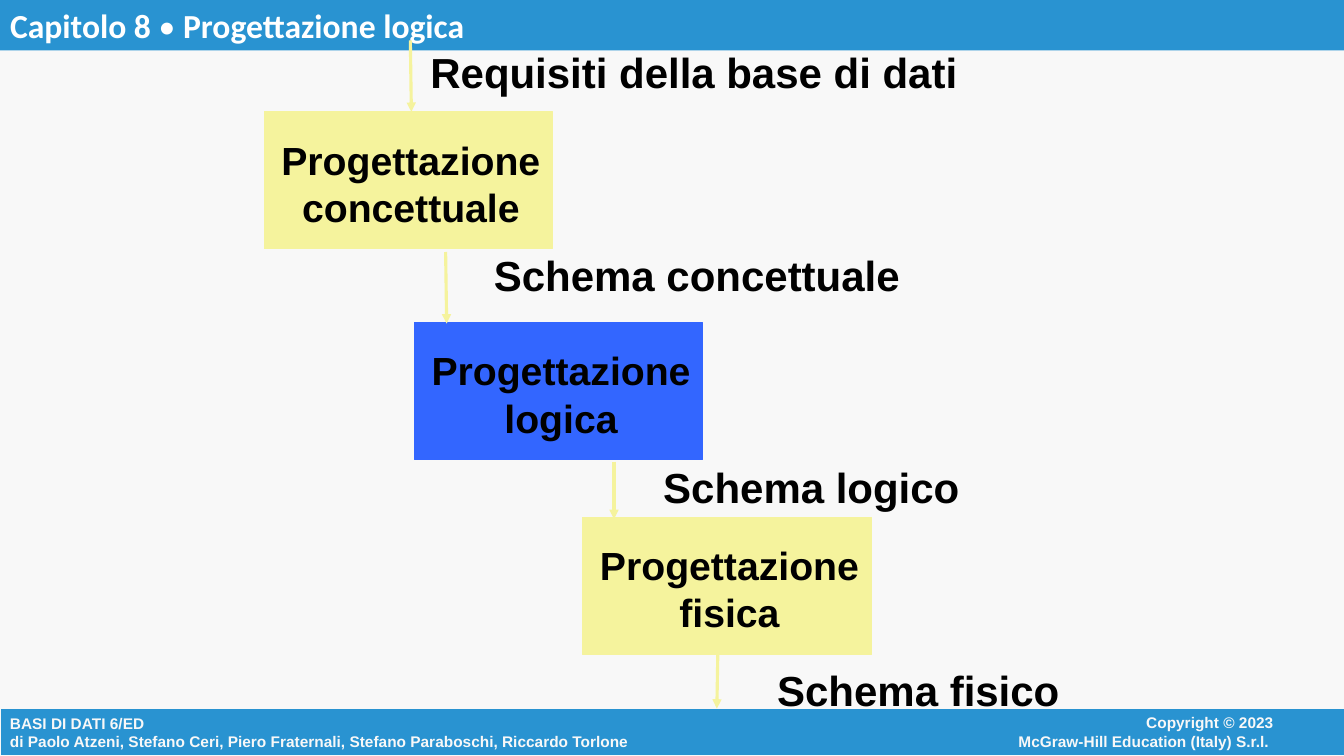
from lxml import etree
from pptx import Presentation
from pptx import util as u
from pptx.dml import color
from pptx.enum import shapes, text
from pptx.oxml import ns

YELLOW, BLUE, BAR, PALE, BLACK = "F5F39D", "3366FF", "2993D1", "F8F8F8", "000000"


def rgb(value):
    return color.RGBColor.from_string(value)


def place(shape, left, top, width, height):
    shape.left, shape.top = u.Inches(left), u.Inches(top)
    shape.width, shape.height = u.Inches(width), u.Inches(height)


def write(shape, words, size, colour, align, font="Arial", inset=(0.1, 0.05),
          anchor=text.MSO_ANCHOR.TOP, wrap=True):
    frame = shape.text_frame
    frame.text = words
    frame.word_wrap = wrap
    frame.auto_size = text.MSO_AUTO_SIZE.NONE
    frame.vertical_anchor = anchor
    frame.margin_left = frame.margin_right = u.Inches(inset[0])
    frame.margin_top = frame.margin_bottom = u.Inches(inset[1])
    for paragraph in frame.paragraphs:
        paragraph.alignment = align
        for run in paragraph.runs:
            run.font.name, run.font.size, run.font.bold = font, u.Pt(size), True
            run.font.color.rgb = rgb(colour)


def add_box(slide, left, top, width, height, fill, line):
    shape = slide.shapes.add_shape(shapes.MSO_SHAPE.RECTANGLE, 0, 0, 0, 0)
    place(shape, left, top, width, height)
    shape.shadow.inherit = False
    shape.fill.solid()
    shape.fill.fore_color.rgb = rgb(fill)
    shape.line.color.rgb = rgb(line)
    shape.line.width = u.Pt(0.75)
    return shape


def add_text(slide, left, top, width, height, words, size, colour, align, **options):
    shape = slide.shapes.add_textbox(0, 0, 0, 0)
    place(shape, left, top, width, height)
    write(shape, words, size, colour, align, **options)


def add_header(slide, width, height):
    title = slide.shapes.title
    place(title, 0, 0, width, height)
    title.fill.solid()
    title.fill.fore_color.rgb = rgb(BAR)
    write(title, "Capitolo 8 ", 24, "FFFFFF", text.PP_ALIGN.LEFT, font="Calibri")
    paragraph = title.text_frame.paragraphs[0]
    for words, bold in (("•", False), (" Progettazione logica", True)):
        run = paragraph.add_run()
        run.text = words
        run.font.name, run.font.size, run.font.bold = "Calibri", u.Pt(24), bold
        run.font.color.rgb = rgb("FFFFFF")


def add_footer(slide, top, width, height):
    bar = add_box(slide, 0, top, width, height, BAR, PALE)
    write(bar, "BASI DI DATI 6/ED\vdi Paolo Atzeni, Stefano Ceri, Piero Fraternali, "
          "Stefano Paraboschi, Riccardo Torlone", 11, PALE, text.PP_ALIGN.LEFT,
          anchor=text.MSO_ANCHOR.MIDDLE)
    add_text(slide, width - 4.46, top, 3.84, height,
             "Copyright © 2023\nMcGraw-Hill Education (Italy) S.r.l. ",
             11, PALE, text.PP_ALIGN.RIGHT)


def add_phase(slide, left, top, name, fill):
    add_box(slide, left, top, 2.86, 1.36, fill, fill)
    add_text(slide, left + 0.17, top + 0.24, 2.57, 0.93, f"Progettazione\n{name}",
             28, BLACK, text.PP_ALIGN.CENTER, inset=(0, 0), wrap=False)


def add_flow(slide, start, end, label, left, top, width):
    arrow = slide.shapes.add_connector(
        shapes.MSO_CONNECTOR.STRAIGHT, *(u.Inches(value) for value in start + end))
    arrow.line.color.rgb = rgb(YELLOW)
    arrow.line.width = u.Pt(2.25)
    etree.SubElement(arrow.line._get_or_add_ln(), ns.qn("a:tailEnd"), type="triangle")
    etree.SubElement(arrow._element.spPr, ns.qn("a:effectLst"))
    add_text(slide, left, top, width, 0.6, label, 30, BLACK, text.PP_ALIGN.LEFT, wrap=False)


def main():
    presentation = Presentation()
    presentation.slide_width, presentation.slide_height = u.Inches(13.33), u.Inches(7.5)
    slide = presentation.slides.add_slide(presentation.slide_layouts[5])
    slide.background.fill.solid()
    slide.background.fill.fore_color.rgb = rgb(PALE)

    add_header(slide, 13.35, 0.5)
    add_footer(slide, 7.03, 13.35, 0.47)
    for phase in (
        (2.62, 1.11, "concettuale", YELLOW),
        (4.11, 3.2, "logica", BLUE),
        (5.78, 5.13, "fisica", YELLOW),
    ):
        add_phase(slide, *phase)
    for flow in (
        ((4.07, 0.4), (4.08, 1.11), "Requisiti della base di dati", 4.17, 0.41, 5.43),
        ((4.42, 2.5), (4.43, 3.21), "Schema concettuale", 4.8, 2.43, 4.23),
        ((6.09, 4.58), (6.09, 5.15), "Schema logico", 6.48, 4.53, 3.14),
        ((7.12, 6.46), (7.11, 7.03), "Schema fisico", 7.61, 6.54, 3),
    ):
        add_flow(slide, *flow)
    presentation.save("out.pptx")


if __name__ == "__main__":
    main()
